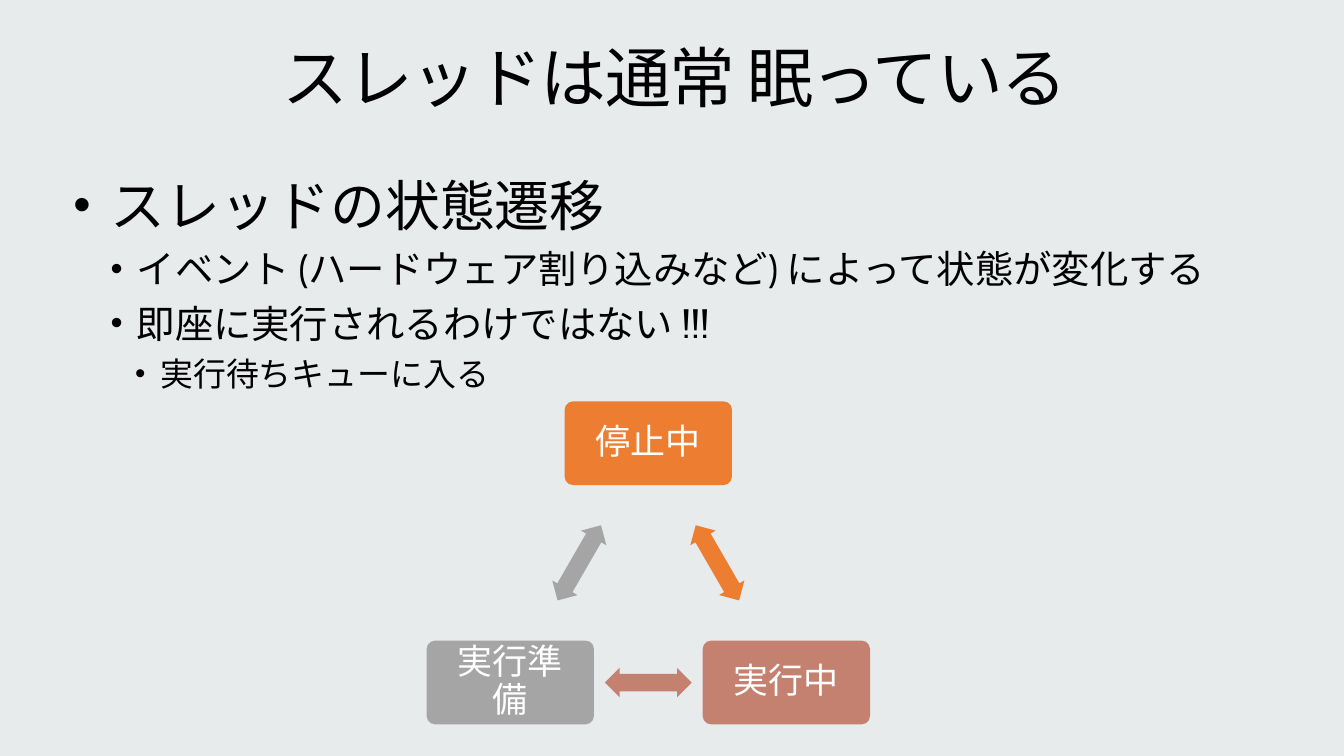
from pptx import Presentation
from pptx.dml.color import RGBColor
from pptx.enum.lang import MSO_LANGUAGE_ID
from pptx.enum.shapes import MSO_SHAPE
from pptx.enum.text import MSO_ANCHOR, PP_ALIGN
from pptx.util import Pt
from lxml.etree import SubElement
from pptx.oxml.ns import qn

BACK = RGBColor(0xE7, 0xEB, 0xEC)
BLACK = RGBColor(0, 0, 0)
WHITE = RGBColor(0xFF, 0xFF, 0xFF)
ORANGE = RGBColor(0xED, 0x7D, 0x31)
ROSE = RGBColor(0xC4, 0x81, 0x70)
GRAY = RGBColor(0xA5, 0xA5, 0xA5)


def style(para, size, color):
    for run in para.runs:
        run.font.name = "Cabin"
        run.font.size = Pt(size)
        run.font.color.rgb = color
        run.font.language_id = MSO_LANGUAGE_ID.JAPANESE


def draw(kind, mid_x, mid_y, width, height, color):
    """Add a plain filled shape centred on a point."""
    shape = slide.shapes.add_shape(
        kind, Pt(mid_x - width / 2), Pt(mid_y - height / 2), Pt(width), Pt(height))
    shape.shadow.inherit = False
    shape.fill.solid()
    shape.fill.fore_color.rgb = color
    shape.line.fill.background()
    return shape


deck = Presentation()
deck.slide_width, deck.slide_height = Pt(960), Pt(540)
slide = deck.slides.add_slide(deck.slide_layouts[5])
slide.background.fill.solid()
slide.background.fill.fore_color.rgb = BACK

# Title
title = slide.shapes.title
title.left, title.top, title.width, title.height = Pt(21.6), Pt(23), Pt(921.6), Pt(70.6)
frame = title.text_frame
frame.text = "スレッドは通常 眠っている"
frame.word_wrap = True
frame.vertical_anchor = MSO_ANCHOR.MIDDLE
frame.margin_left = frame.margin_right = Pt(11.5)
frame.margin_top = frame.margin_bottom = Pt(7.2)
head = frame.paragraphs[0]
head.alignment = PP_ALIGN.CENTER
head.line_spacing = 0.9
style(head, 47, BLACK)
head.runs[0].font._element.set("spc", "-100")

# Bullets: text, level, size, indent, hanging
bullets = [
    ("スレッドの状態遷移", 0, 39.2, 26.6, 26.6),
    ("イベント (ハードウェア割り込みなど) によって状態が変化する", 1, 27.4, 45.2, 18.7),
    ("即座に実行されるわけではない !!!", 1, 27.4, 45.2, 18.7),
    ("実行待ちキューに入る", 2, 23.5, 62, 18),
]
body = slide.shapes.add_textbox(Pt(41), Pt(115.2), Pt(878.4), Pt(380)).text_frame
body.word_wrap = True
body.margin_left = body.margin_right = Pt(11.5)
body.margin_top = body.margin_bottom = Pt(7.2)
body.text = "\n".join(item[0] for item in bullets)
for para, (_, level, size, indent, hang) in zip(body.paragraphs, bullets):
    para.level = level
    para.space_before = Pt(5.9 if level else 0)
    props = para._p.get_or_add_pPr()
    props.set("marL", str(Pt(indent)))
    props.set("indent", str(-Pt(hang)))
    SubElement(props, qn("a:buSzPct"), val="90000")
    SubElement(props, qn("a:buFont"), typeface="Arial")
    SubElement(props, qn("a:buChar"), char="•")
    style(para, size, BLACK)

# State cycle: a box at each corner, an arrow on each side
states = [
    ("停止中", 463.1, 316.6, ORANGE, 60),
    ("実行中", 561.7, 487.5, ROSE, 180),
    ("実行準備", 364.5, 487.5, GRAY, 300),
]
for i, (name, x, y, color, turn) in enumerate(states):
    box = draw(MSO_SHAPE.ROUNDED_RECTANGLE, x, y, 119.5, 59.8, color)
    box.adjustments[0] = 0.1
    frame = box.text_frame
    frame.text = name
    frame.word_wrap = True
    frame.vertical_anchor = MSO_ANCHOR.MIDDLE
    frame.margin_left = frame.margin_right = Pt(8.5)
    frame.margin_top = frame.margin_bottom = Pt(8.5)
    label = frame.paragraphs[0]
    label.alignment = PP_ALIGN.CENTER
    label.line_spacing = 0.9
    style(label, 25, WHITE)

    _, next_x, next_y, _, _ = states[(i + 1) % len(states)]
    arrow = draw(MSO_SHAPE.LEFT_RIGHT_ARROW, (x + next_x) / 2, (y + next_y) / 2,
                 62, 20.9, color)
    arrow.adjustments[0] = 0.6
    arrow.adjustments[1] = 0.5
    arrow.rotation = turn

deck.save("out.pptx")
